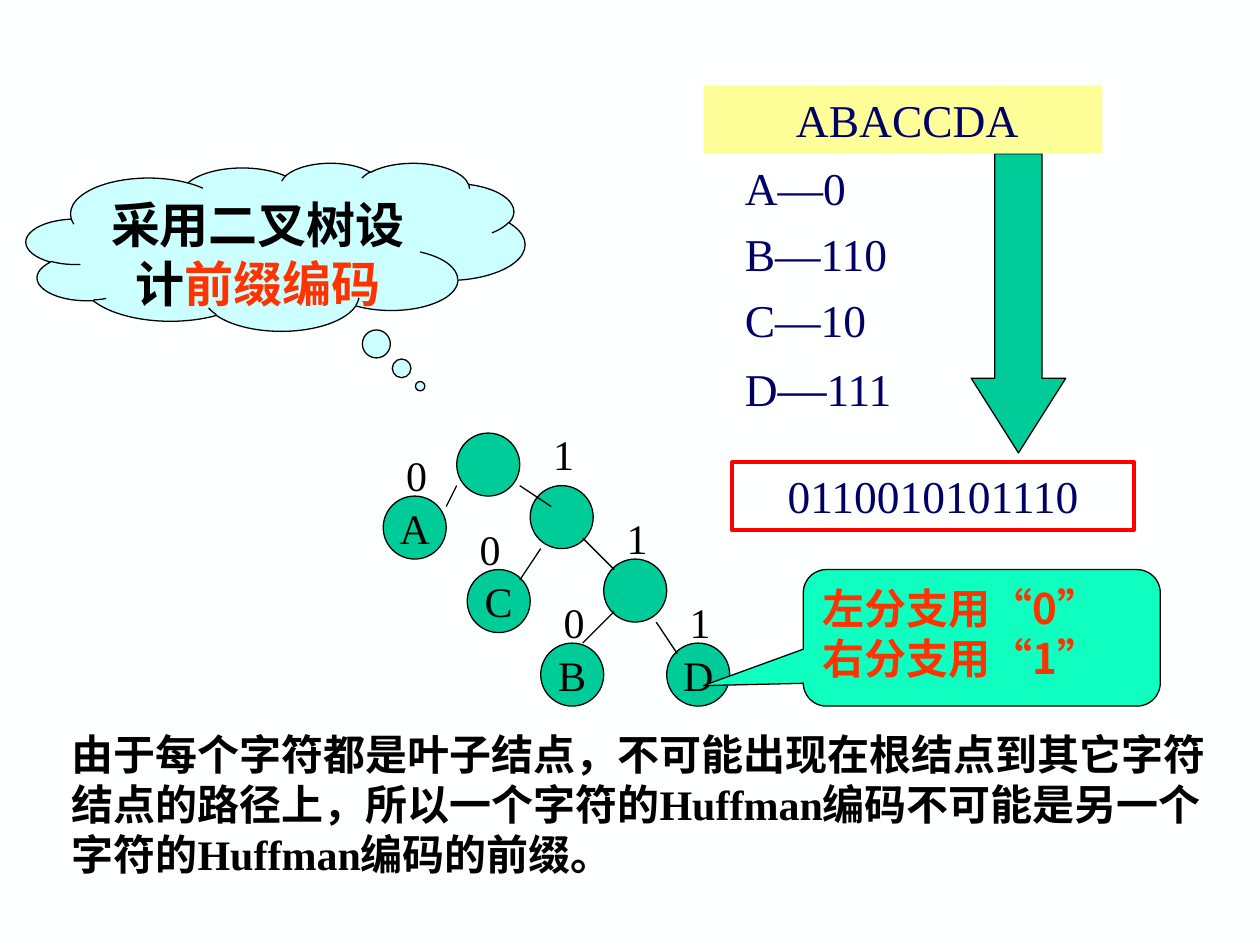
"""Build the slide on prefix codes drawn from a binary tree."""
from lxml import etree
from pptx import Presentation, util as u
from pptx.dml.color import RGBColor
from pptx.enum import shapes as sh, text as tx
from pptx.oxml.ns import qn

THEME = dict(
    back="FEFFFF", node="00CC99", cloud="CCFFFF", tip="0FFFC0", band="FFFF99",
    ink="000000", navy="000066", hot="FF3300", edge="FF0000",
    small=24, code=26, big=28, thin=0.75, thick=2.25,
    serif="Times New Roman", sans="Noto Sans CJK SC")
COLS, ROWS = 120, 90
WIDTH, HEIGHT = u.Inches(10), u.Inches(7.5)
KIND = sh.MSO_SHAPE

ROOT = (36.5, 41.25)
SIZE, TAG = 6, 7
NODES = [("", 7, 0), ("", 14, 5), ("", 21, 12),
         ("A", 0, 6), ("C", 8, 13), ("B", 15, 20), ("D", 27, 20)]
EDGES = [(7, 5, 6, 7), (13, 5, 16, 7), (15, 11, 13, 14),
         (22, 17, 19, 20), (26, 18, 28, 21), (19, 10, 22, 13)]
TAGS = [("0", 1, 1), ("0", 8, 8), ("0", 16, 15),
        ("1", 15, -1), ("1", 22, 7), ("1", 28, 15)]

IDEA = [[("采用二叉树设计", {}), ("前缀编码", {"ink": "hot"})]]
RULES = [[("左分支用“0”", {})], [("右分支用“1”", {})]]
CODES = [[("A—0", {})], [("B—110", {})], [("C—10", {})],
         [("D", {}), ("—", {"size": "big"}), ("111", {})]]
NOTE = [[
    ("由于每个字符都是叶子结点，不可能出现在根结点到其它字符结点的路径上，所以一个字符的", {}),
    ("Huffman编码不可能是另一个字符的Huffman编码的前缀", {"face": "serif"}),
    ("。", {})]]

deck = Presentation()
deck.slide_width, deck.slide_height = WIDTH, HEIGHT
slide = deck.slides.add_slide(deck.slide_layouts[6])
slide.background.fill.solid()
slide.background.fill.fore_color.rgb = RGBColor.from_string(THEME["back"])


def place(x, y):
    return int(x * WIDTH / COLS), int(y * HEIGHT / ROWS)


def style(font, ink=None, size=None, face=None):
    if ink:
        font.color.rgb = RGBColor.from_string(THEME[ink])
    if size:
        font.size = u.Pt(THEME[size])
    if face:
        font.name = THEME[face]


def write(shape, paras, ink="ink", size="small", face="serif",
          bold=False, mid=False, gap=0, wrap=True, anchor="TOP"):
    frame = shape.text_frame
    frame.word_wrap = wrap
    frame.vertical_anchor = tx.MSO_ANCHOR[anchor]
    for i, runs in enumerate(paras):
        para = frame.add_paragraph() if i else frame.paragraphs[0]
        para.alignment = tx.PP_ALIGN.CENTER if mid else tx.PP_ALIGN.LEFT
        para.space_before = u.Pt(gap)
        style(para.font, ink, size, face)
        para.font.bold = bold
        for words, look in runs:
            run = para.add_run()
            run.text = words
            style(run.font, **look)
            asian = etree.SubElement(run._r.get_or_add_rPr(), qn("a:ea"))
            asian.set("typeface", THEME["sans"])


def draw(kind, box, fill=None, line="ink", width="thin", adjust=()):
    shape = slide.shapes.add_shape(kind, *place(*box[:2]), *place(*box[2:]))
    shape.shadow.inherit = False
    if fill:
        shape.fill.solid()
        shape.fill.fore_color.rgb = RGBColor.from_string(THEME[fill])
    else:
        shape.fill.background()
    if line:
        shape.line.color.rgb = RGBColor.from_string(THEME[line])
        shape.line.width = u.Pt(THEME[width])
    else:
        shape.line.fill.background()
    for i, value in enumerate(adjust):
        shape.adjustments[i] = value
    return shape


def label(box, paras, **look):
    area = slide.shapes.add_textbox(*place(*box[:2]), *place(*box[2:]))
    write(area, paras, **look)


def link(x1, y1, x2, y2):
    line = slide.shapes.add_connector(
        sh.MSO_CONNECTOR.STRAIGHT, *place(x1, y1), *place(x2, y2))
    line.line.color.rgb = RGBColor.from_string(THEME["ink"])
    line.line.width = u.Pt(THEME["thin"])
    etree.SubElement(line._element.spPr, qn("a:effectLst"))


left, top = ROOT
for name, x, y in NODES:
    node = draw(KIND.OVAL, (left + x, top + y, SIZE, SIZE), "node")
    if name:
        write(node, [[(name, {})]], mid=True, wrap=False, anchor="MIDDLE")
for x1, y1, x2, y2 in EDGES:
    link(left + x1, top + y1, left + x2, top + y2)
for bit, x, y in TAGS:
    label((left + x, top + y, TAG, SIZE), [[(bit, {})]], gap=15)

cloud = draw(KIND.CLOUD_CALLOUT, (2.5, 15.5, 47.5, 16), "cloud",
             adjust=(0.29, 0.83))
write(cloud, IDEA, size="big", bold=True, mid=True)
tip = draw(KIND.ROUNDED_RECTANGULAR_CALLOUT, (76.5, 54.25, 34, 13), "tip",
           adjust=(-0.78, 0.35, 0.17))
write(tip, RULES, ink="hot", face="sans", bold=True)

code = dict(ink="navy", size="code")
label((69.75, 14.63, 18.25, 46.5), CODES, gap=6.5, **code)
draw(KIND.DOWN_ARROW, (92.5, 14.63, 9, 28.5), "node", adjust=(0.5, 0.79))
bits = draw(KIND.RECTANGLE, (69.75, 44, 38.25, 6.5), line="edge", width="thick")
write(bits, [[("0110010101110", {})]], mid=True, gap=16.2, **code)
word = draw(KIND.RECTANGLE, (67, 8.13, 38, 6.5), "band", line=None)
write(word, [[(" ABACCDA", {})]], mid=True, gap=16.2, **code)
label((5.63, 68.75, 110.5, 15.6), NOTE, face="sans", bold=True)

deck.save("out.pptx")
